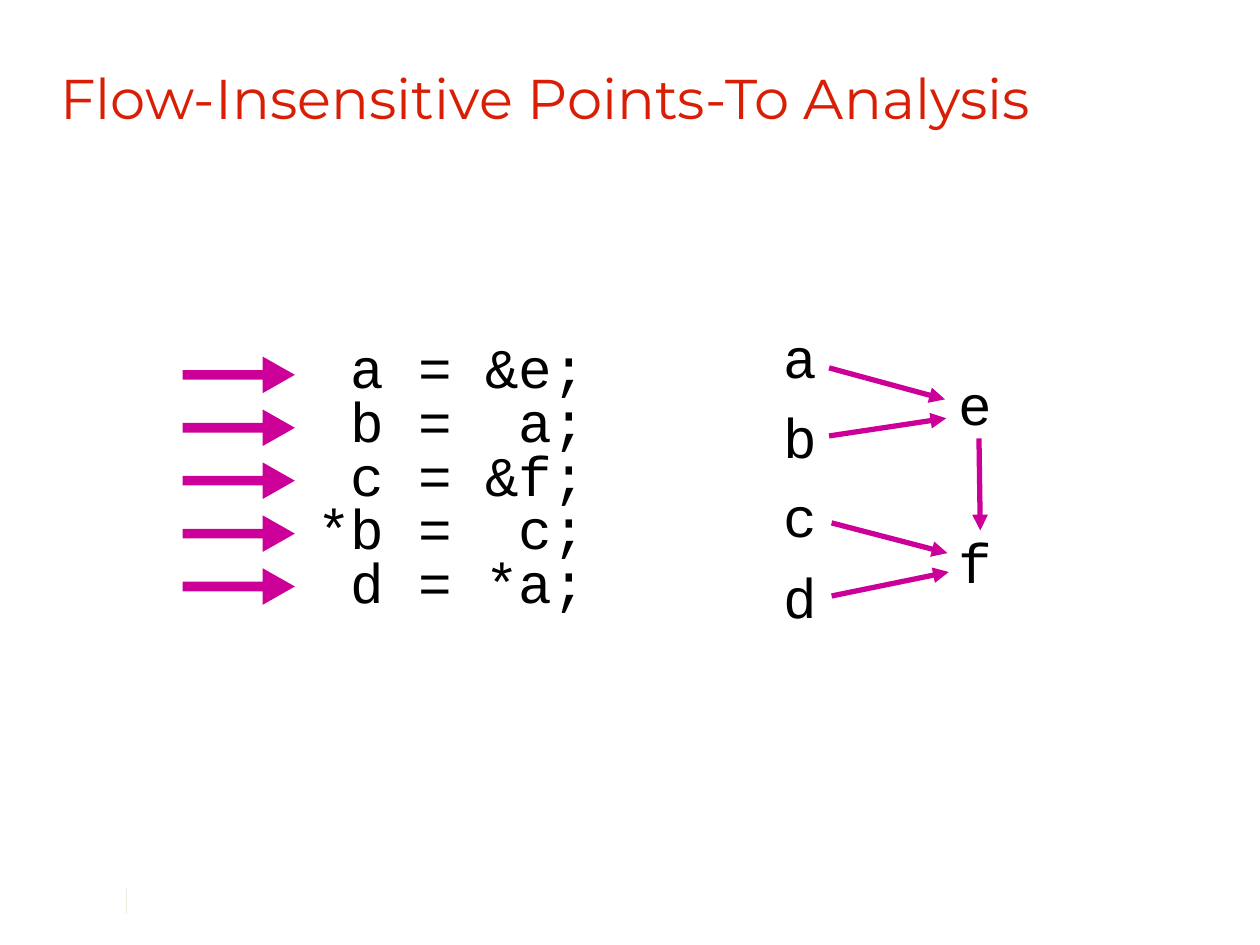
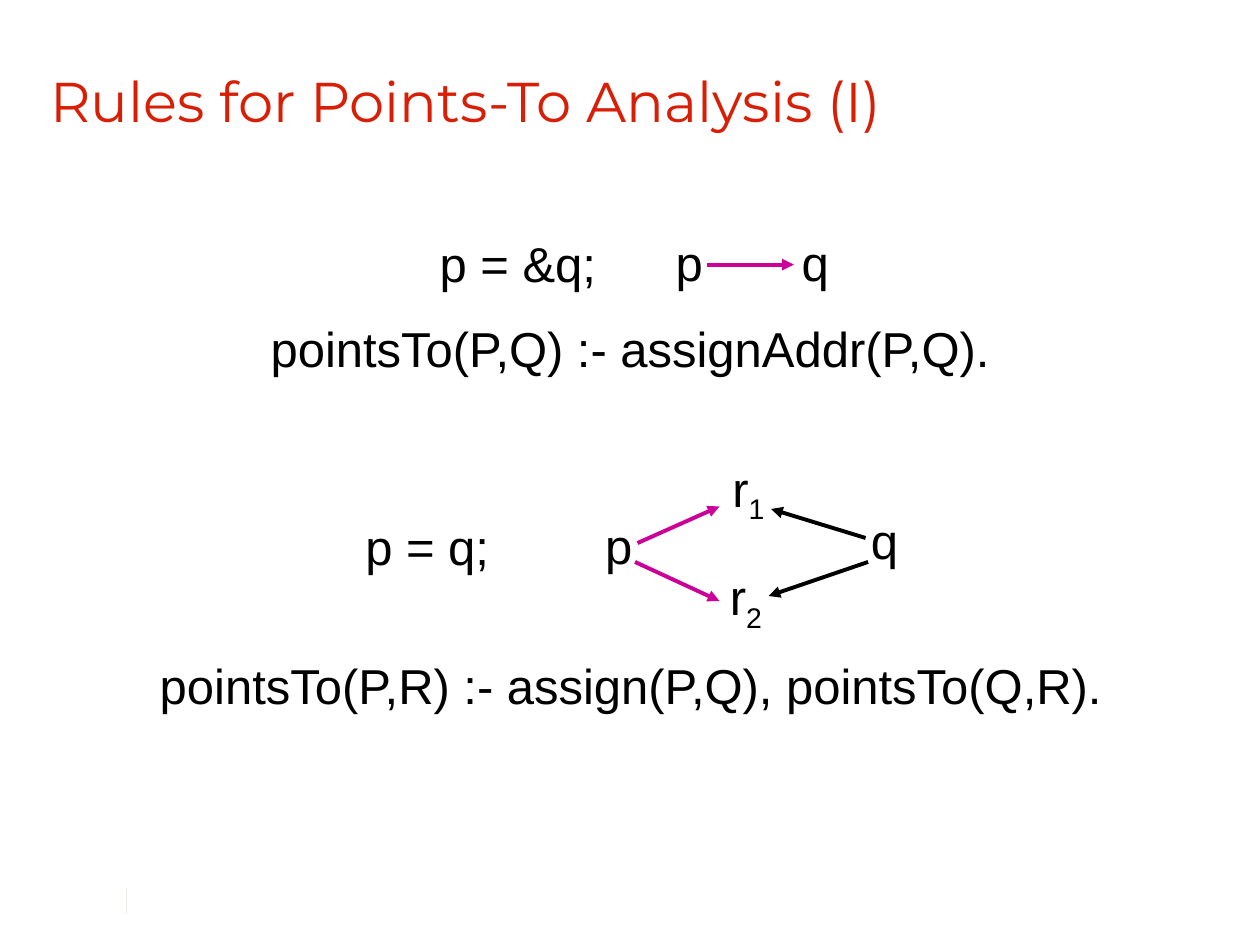
from pptx import Presentation
from pptx.dml.color import RGBColor
from pptx.enum.shapes import MSO_CONNECTOR, MSO_SHAPE
from pptx.enum.text import MSO_ANCHOR, MSO_AUTO_SIZE, PP_ALIGN
from pptx.oxml.ns import qn
from pptx.util import Pt
from lxml.etree import SubElement

SCALE = 9144
HEX = {"title": "D81E05", "text": "000000", "arrow": "CC0099", "rule": "EEECE1"}
TINT = {name: RGBColor.from_string(code) for name, code in HEX.items()}
CODE = {"font": "Courier New", "size": 32, "align": PP_ALIGN.LEFT, "space": 0.8}
RULE = {"font": "Arial", "size": 28, "align": PP_ALIGN.CENTER, "space": 1.0}


def write(pad, text, spot, style):
    box = pad.add_textbox(*[n * SCALE for n in spot])
    frame = box.text_frame
    frame.text = text
    frame.word_wrap = False
    frame.auto_size = MSO_AUTO_SIZE.SHAPE_TO_FIT_TEXT
    frame.vertical_anchor = MSO_ANCHOR.MIDDLE
    for para in frame.paragraphs:
        para.alignment = style["align"]
        para.line_spacing = style["space"]
        for run in para.runs:
            run.font.name = style["font"]
            run.font.size = Pt(style["size"])
            run.font.color.rgb = TINT["text"]
    return box


def draw(pad, ends, tint, width, tip=True):
    line = pad.add_connector(MSO_CONNECTOR.STRAIGHT, *[n * SCALE for n in ends])
    line.line.color.rgb = TINT[tint]
    line.line.width = Pt(width)
    if tip:
        SubElement(line.get_or_add_ln(), qn("a:tailEnd"), type="triangle")
    SubElement(line.element.spPr, qn("a:effectLst"))
    return line


deck = Presentation()
deck.slide_width = 1000 * SCALE
deck.slide_height = 750 * SCALE
layout = deck.slide_layouts[5]

slides = []
for text, spot in [
    ("Flow-Insensitive Points-To Analysis", (38, 45, 1000, 73)),
    ("Rules for Points-To Analysis (I)", (30, 48, 940, 94)),
]:
    slide = deck.slides.add_slide(layout)
    title = slide.shapes.title
    title.left, title.top, title.width, title.height = [n * SCALE for n in spot]
    title.text_frame.text = text
    title.text_frame.vertical_anchor = MSO_ANCHOR.TOP
    para = title.text_frame.paragraphs[0]
    para.alignment = PP_ALIGN.LEFT
    font = para.runs[0].font
    font.name = "Montserrat"
    font.size = Pt(32)
    font.color.rgb = TINT["title"]
    slides.append(slide)

flow, rules = slides
mark = draw(flow.shapes, (100, 705, 100, 725), "rule", 0.25, tip=False)
layout.shapes.element.append(mark.element)

pad = flow.shapes
write(pad, " a = &e;\n b =  a;\n c = &f;\n*b =  c;\n d = *a;", (242, 267, 236, 228), CODE)
for row in range(5):
    spot = (145, 283 + 42 * row, 89, 29)
    step = pad.add_shape(MSO_SHAPE.RIGHT_ARROW, *[n * SCALE for n in spot])
    step.adjustments[0] = 0.26
    step.adjustments[1] = 0.88
    step.shadow.inherit = False
    step.fill.solid()
    step.fill.fore_color.rgb = TINT["arrow"]
    step.line.fill.background()

for row, name in enumerate("abcd"):
    write(pad, name, (612, 260 + 190 * row // 3, 47, 56), CODE)
for name, top in [("e", 297), ("f", 422)]:
    write(pad, name, (751, top, 47, 56), CODE)
for ends in [
    (658, 292, 750, 317),
    (658, 346, 751, 332),
    (777, 348, 778, 421),
    (660, 415, 752, 439),
    (660, 473, 753, 454),
]:
    draw(pad, ends, "arrow", 3)

pad = rules.shapes
write(pad, "pointsTo(P,Q) :- assignAddr(P,Q).", (201, 248, 598, 57), RULE)
write(pad, "pointsTo(P,R) :- assign(P,Q), pointsTo(Q,R).", (112, 515, 777, 57), RULE)

addr = pad.add_group_shape().shapes
write(addr, "p = &q;", (338, 180, 146, 57), RULE)
for name, left in [("p", 526), ("q", 626)]:
    write(addr, name, (left, 179, 42, 57), RULE)
draw(addr, (561, 210, 630, 210), "arrow", 2.25)

copy = pad.add_group_shape().shapes
write(copy, "p = q;", (279, 405, 120, 57), RULE)
for name, left, top in [("p", 470, 404), ("q", 681, 400)]:
    write(copy, name, (left, top, 42, 57), RULE)
for sub, left, top in [("1", 570, 362), ("2", 568, 448)]:
    node = write(copy, "r", (left, top, 48, 57), RULE)
    run = node.text_frame.paragraphs[0].add_run()
    run.text = sub
    run.font.name = RULE["font"]
    run.font.size = Pt(RULE["size"])
    run.font.color.rgb = TINT["text"]
    list(node.element.iter(qn("a:rPr")))[-1].set("baseline", "-25000")
for ends, tint in [
    ((506, 431, 571, 402), "arrow"),
    ((504, 446, 571, 477), "arrow"),
    ((687, 427, 612, 404), "text"),
    ((689, 446, 610, 473), "text"),
]:
    draw(copy, ends, tint, 2.25)

deck.save("out.pptx")
